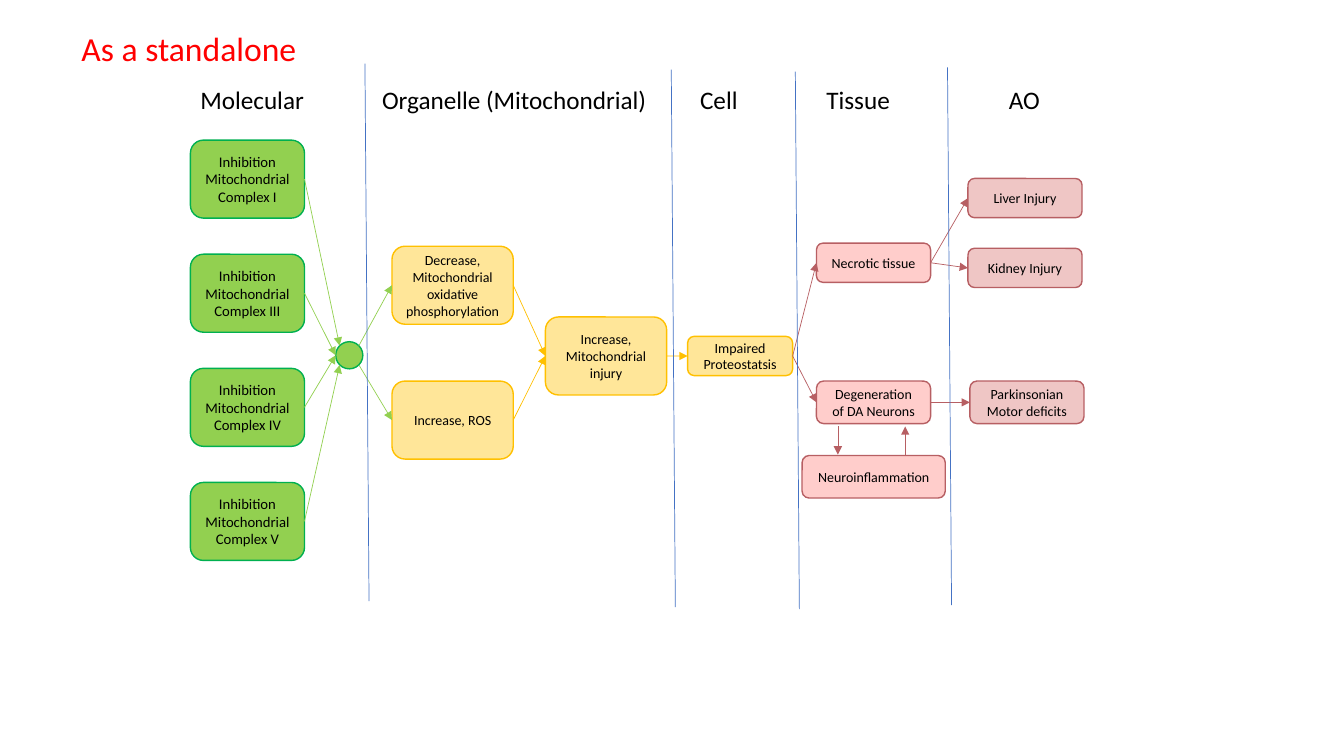
import math
from dataclasses import dataclass

import lxml.etree
import pptx
import pptx.dml.color
import pptx.enum.shapes
import pptx.enum.text
import pptx.oxml.ns
import pptx.util

Pt = pptx.util.Pt
PRESETS = pptx.enum.shapes.MSO_AUTO_SHAPE_TYPE
ALIGN = pptx.enum.text.PP_ALIGN
ANCHOR = pptx.enum.text.MSO_ANCHOR
LEFT, RIGHT = 1, 3


@dataclass(frozen=True)
class Theme:
    """Colours and type sizes of the slide."""
    font: str = "Calibri"
    text: str = "000000"
    title: str = "FF0000"
    divider: str = "4472C4"
    molecular: tuple = ("92D050", "00B050")
    organelle: tuple = ("FFE699", "FFC000")
    tissue: tuple = ("FFCDCB", "B75F63")
    outcome: tuple = ("EFC6C5", "B75F63")
    title_size: float = 24
    heading_size: float = 18
    complex_size: float = 10.5
    event_size: float = 10


THEME = Theme()


def rgb(value):
    """Turn a hex string into a colour."""
    return pptx.dml.color.RGBColor.from_string(value)


def write(shape, text, size, color, alignment, anchor, wrap):
    """Set and format the text of a shape."""
    frame = shape.text_frame
    frame.text = text
    frame.word_wrap = wrap
    frame.vertical_anchor = anchor
    frame.margin_left = frame.margin_right = Pt(6.8 if wrap else 7.2)
    frame.margin_top = frame.margin_bottom = Pt(3.6)
    for paragraph in frame.paragraphs:
        paragraph.alignment = alignment
        paragraph.line_spacing = 1.0
        for run in paragraph.runs:
            run.font.name = THEME.font
            run.font.size = Pt(size)
            run.font.color.rgb = rgb(color)


def add_node(slide, preset, left, top, width, height, colors):
    """Add a filled and outlined preset shape."""
    node = slide.shapes.add_shape(preset, Pt(left), Pt(top), Pt(width), Pt(height))
    fill, outline = colors
    node.shadow.inherit = False
    node.fill.solid()
    node.fill.fore_color.rgb = rgb(fill)
    node.line.color.rgb = rgb(outline)
    node.line.width = Pt(1)
    return node


def add_event(slide, text, left, top, width, height, colors, size=THEME.event_size):
    """Add a rounded box that names one event."""
    event = add_node(slide, PRESETS.ROUNDED_RECTANGLE, left, top, width, height, colors)
    write(event, text, size, THEME.text, ALIGN.CENTER, ANCHOR.MIDDLE, True)
    return event


def add_heading(slide, text, left, width):
    """Add the heading of a column."""
    heading = slide.shapes.add_textbox(Pt(left), Pt(56.9), Pt(width), Pt(29))
    write(heading, text, THEME.heading_size, THEME.text, ALIGN.LEFT, ANCHOR.TOP, False)


def add_line(slide, start, end, color):
    """Add a thin straight line between two points."""
    line = slide.shapes.add_connector(
        pptx.enum.shapes.MSO_CONNECTOR.STRAIGHT, *(Pt(value) for value in start + end))
    line.line.color.rgb = rgb(color)
    line.line.width = Pt(0.5)
    lxml.etree.SubElement(line.element.spPr, pptx.oxml.ns.qn("a:effectLst"))
    return line


def add_arrow(slide, color, start=(0, 0), end=(0, 0), source=None, target=None):
    """Add an arrow between points, or from one event's right to another's left."""
    arrow = add_line(slide, start, end, color)
    if source is not None:
        arrow.begin_connect(source, RIGHT)
    if target is not None:
        arrow.end_connect(target, LEFT)
    outline = arrow.element.spPr.find(pptx.oxml.ns.qn("a:ln"))
    lxml.etree.SubElement(outline, pptx.oxml.ns.qn("a:tailEnd"), type="triangle")


def add_title(slide, text):
    """Place and format the title."""
    title = slide.shapes.title
    title.left, title.top, title.width, title.height = Pt(51), Pt(16.6), Pt(186), Pt(36.4)
    write(title, text, THEME.title_size, THEME.title, ALIGN.LEFT, ANCHOR.TOP, False)


def add_columns(slide):
    """Add the column headings and the dividers between them."""
    for text, left, width in (("Molecular", 136, 89), ("Organelle (Mitochondrial)", 265.8, 209.5),
                              ("Cell", 493, 42), ("Tissue", 583.2, 60.5), ("AO", 713.5, 37)):
        add_heading(slide, text, left, width)
    for left, top in ((260.7, 45.4), (479.5, 49.7), (568.1, 51.1), (676.8, 48.2)):
        add_line(slide, (left, top), (left + 2.9, top + 384), THEME.divider)


def add_molecular(slide, decrease, increase):
    """Add the four complexes and the hub that leads to the organelle events."""
    color = THEME.molecular[0]
    center_x, center_y, radius = 249.5, 253.8, 9.7
    corner = radius * math.sqrt(0.5)
    add_node(slide, PRESETS.OVAL, center_x - radius, center_y - radius,
             2 * radius, 2 * radius, THEME.molecular)
    west = (center_x - radius, center_y)
    entries = ((center_x - corner, center_y - corner), west, west,
               (center_x - corner, center_y + corner))
    for index, (number, entry) in enumerate(zip(("I", "III", "IV", "V"), entries)):
        complex_event = add_event(slide, f"Inhibition Mitochondrial Complex {number}", 136,
                                  100.1 + 81.5 * index, 81.5, 55.7,
                                  THEME.molecular, THEME.complex_size)
        add_arrow(slide, color, end=entry, source=complex_event)
    for event, offset in ((decrease, -corner), (increase, corner)):
        add_arrow(slide, color, start=(center_x + corner, center_y + offset), target=event)


def add_pathway(slide):
    """Add the events from molecule to adverse outcome with their arrows."""
    organelle, tissue, outcome = THEME.organelle, THEME.tissue, THEME.outcome
    decrease = add_event(slide, "Decrease, Mitochondrial oxidative phosphorylation",
                         280, 175.9, 86.6, 55.7, organelle)
    increase = add_event(slide, "Increase, ROS", 280, 272.2, 86.6, 55.7, organelle)
    injury = add_event(slide, "Increase, Mitochondrial injury", 389.6, 226.4, 86.6, 55.7, organelle)
    impaired = add_event(slide, "Impaired Proteostatsis", 491.2, 240.3, 75, 28, organelle)
    necrotic = add_event(slide, "Necrotic tissue", 583.2, 173.7, 81.5, 28, tissue)
    degeneration = add_event(slide, "Degeneration of DA Neurons", 583.2, 272.2, 81.5, 30.4, tissue)
    add_event(slide, "Neuroinflammation", 572.9, 325.4, 102.3, 30.4, tissue)
    liver = add_event(slide, "Liver Injury", 691.4, 127.5, 81.5, 28, outcome)
    kidney = add_event(slide, "Kidney Injury", 691.4, 177.4, 81.5, 28, outcome)
    parkinsonian = add_event(slide, "Parkinsonian Motor deficits",
                             692.8, 272.2, 81.5, 30.4, outcome)

    add_molecular(slide, decrease, increase)
    for source, target in ((decrease, injury), (increase, injury), (injury, impaired)):
        add_arrow(slide, organelle[1], source=source, target=target)
    for source, target in ((impaired, degeneration), (impaired, necrotic), (necrotic, kidney),
                           (necrotic, liver), (degeneration, parkinsonian)):
        add_arrow(slide, tissue[1], source=source, target=target)
    upper, lower = 304.6, 324.7
    add_arrow(slide, tissue[1], (598.5, upper), (598.5, lower))
    add_arrow(slide, tissue[1], (646.6, lower), (646.6, upper))


def main():
    """Build and save the slide."""
    presentation = pptx.Presentation()
    presentation.slide_width, presentation.slide_height = Pt(960), Pt(540)
    slide = presentation.slides.add_slide(presentation.slide_layouts[5])
    add_pathway(slide)
    add_columns(slide)
    add_title(slide, "As a standalone")
    presentation.save("out.pptx")


if __name__ == "__main__":
    main()
